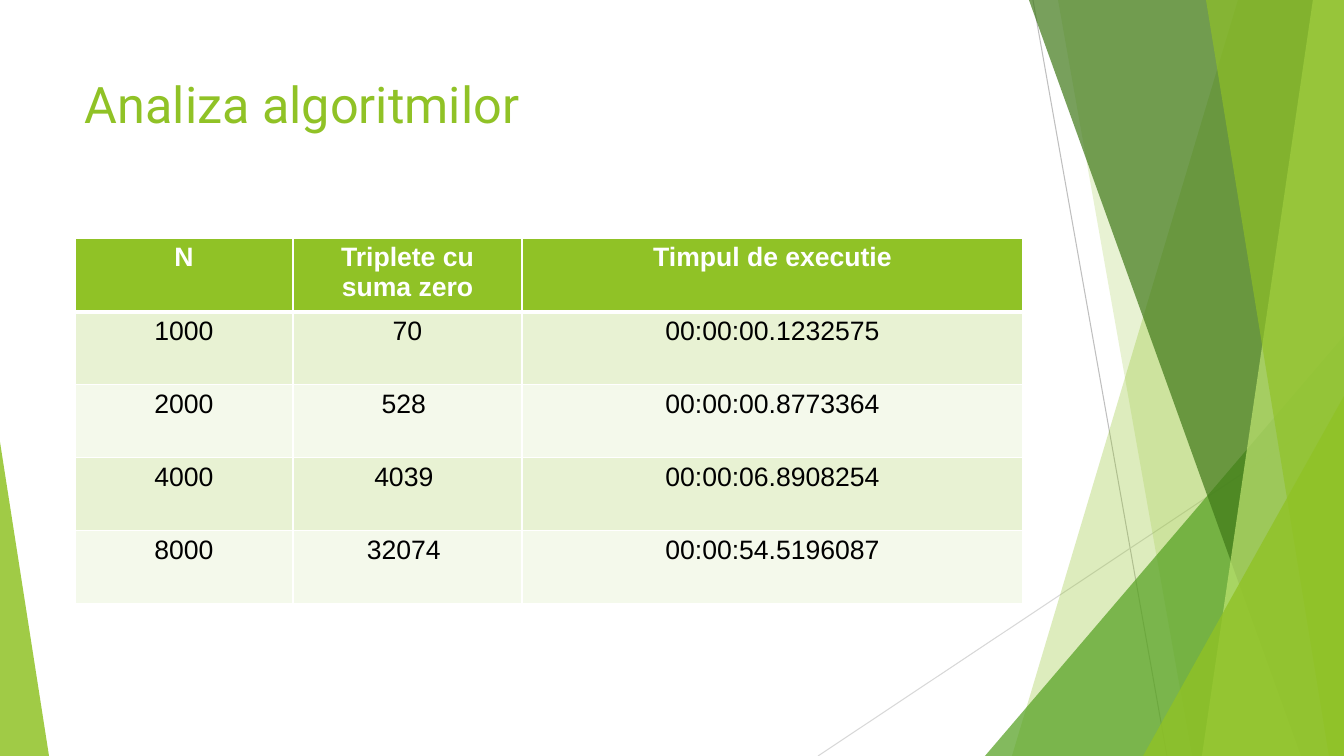
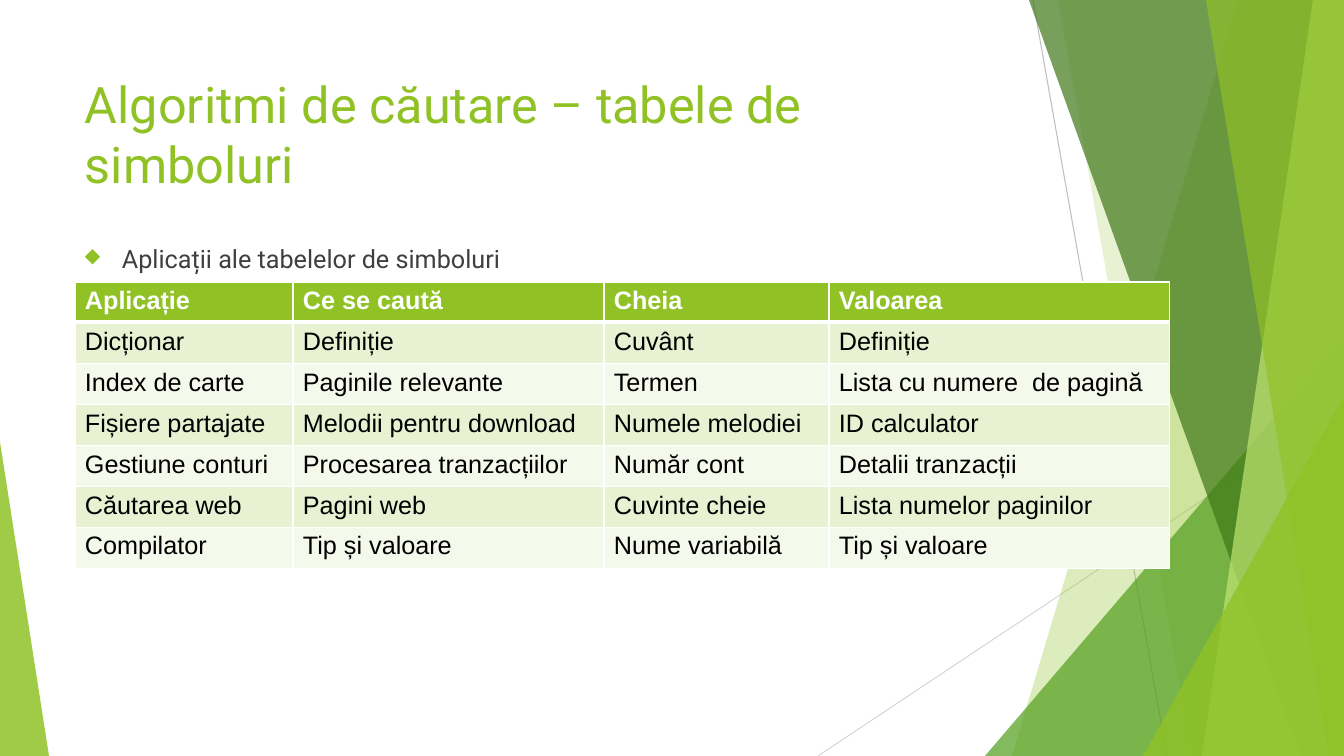
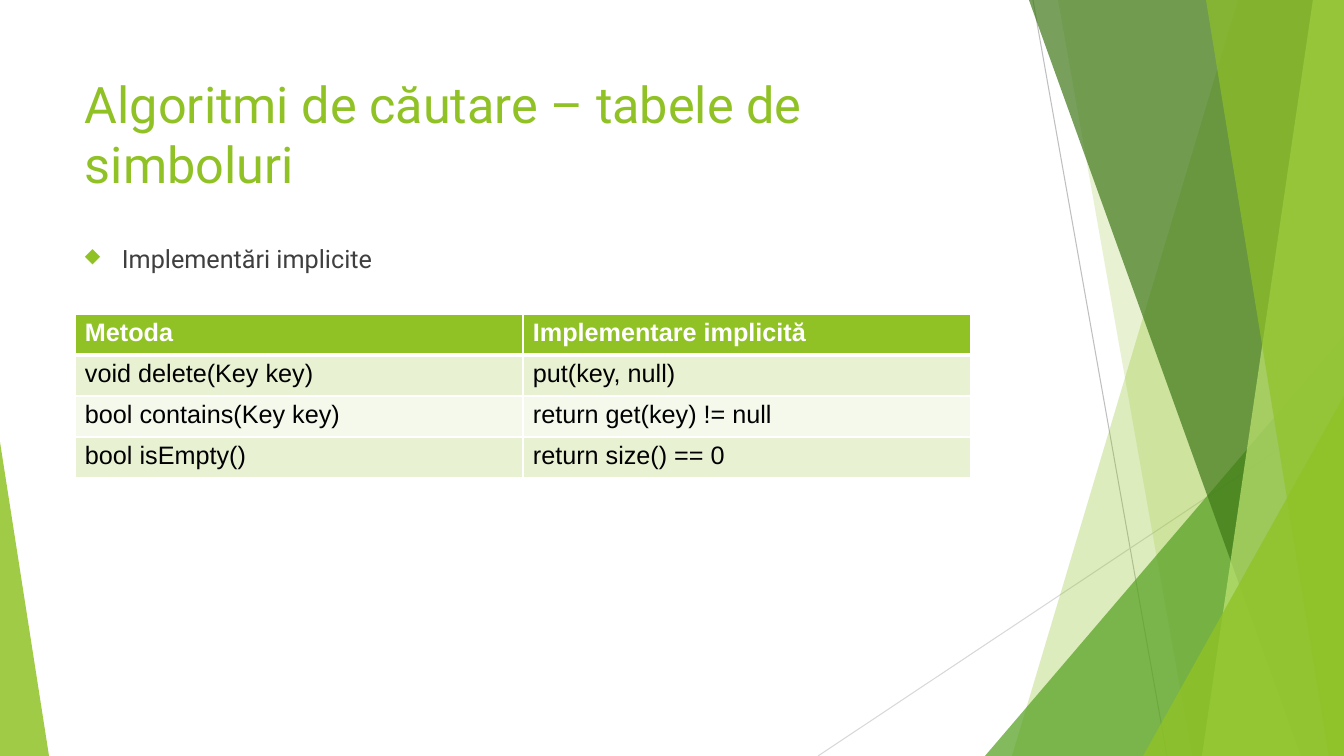
"""Three slides on algorithm analysis and symbol tables, in a green faceted theme."""
from pptx import Presentation
from pptx.dml.color import RGBColor
from pptx.enum.shapes import MSO_CONNECTOR, MSO_SHAPE
from pptx.enum.text import PP_ALIGN
from pptx.oxml.ns import qn
from pptx.util import Emu, Pt
from lxml.etree import SubElement

LINE = MSO_CONNECTOR.STRAIGHT
WEDGE = MSO_SHAPE.ISOSCELES_TRIANGLE
LEFT, MID = PP_ALIGN.LEFT, PP_ALIGN.CENTER

WIDE, HIGH = 1344, 756
SCALE = 12192000 / WIDE
EDGE = 75
BODY = 948

COLORS = {
    "lime": "90C226", "leaf": "54A021", "moss": "3F7818", "pale": "BFE471",
    "gray": "BFBFBF", "mist": "D8D8D8", "text": "3F3F3F", "black": "000000",
    "white": "FFFFFF", "odd": "E8F2D3", "even": "F4F9EB",
}

RAYS = [((1033, 0), (1167, HIGH), "gray"), ((WIDE, 406), (818, HIGH), "mist")]
# kind, left edge, second value, colour, opacity
FACETS = [
    ("band", 1238, 1012, "lime", 30),
    ("band", 1058, 1192, "lime", 20),
    ("wedge", (985, 336, 359, 420), 1, "leaf", 72),
    ("band", 1029, 1301, "moss", 70),
    ("band", 1313, 1202, "pale", 70),
    ("band", 1206, 1329, "lime", 65),
    ("wedge", (1143, 396, 201, 360), 1, "lime", 80),
    ("wedge", (0, 442, 49, 314), 0, "lime", 85),
]

SEARCH = "Algoritmi de căutare – tabele de simboluri"
SLIDES = [
    {
        "title": "Analiza algoritmilor", "point": None,
        "top": 238, "cols": [218, 229, 501], "head": 73, "row": 73,
        "size": 19, "pad": 12, "align": MID,
        "cells": [
            ("N", "Triplete cu suma zero", "Timpul de executie"),
            ("1000", "70", "00:00:00.1232575"),
            ("2000", "528 ", "00:00:00.8773364"),
            ("4000", "4039 ", "00:00:06.8908254"),
            ("8000", "32074 ", "00:00:54.5196087"),
        ],
    },
    {
        "title": SEARCH, "point": "Aplicații ale tabelelor de simboluri",
        "top": 282, "cols": [218, 311, 225, 341], "head": 38, "row": 41,
        "size": 18, "pad": 10, "align": LEFT,
        "cells": [
            ("Aplicație", "Ce se caută", "Cheia", "Valoarea"),
            ("Dicționar", "Definiție", "Cuvânt", "Definiție"),
            ("Index de carte", "Paginile relevante", "Termen", "Lista cu numere  de pagină"),
            ("Fișiere partajate", "Melodii pentru download", "Numele melodiei", "ID calculator"),
            ("Gestiune conturi", "Procesarea tranzacțiilor", "Număr cont", "Detalii tranzacții"),
            ("Căutarea web", "Pagini web", "Cuvinte cheie", "Lista numelor paginilor"),
            ("Compilator", "Tip și valoare", "Nume variabilă", "Tip și valoare"),
        ],
    },
    {
        "title": SEARCH, "point": "Implementări implicite",
        "top": 314, "cols": [448, 448], "head": 41, "row": 41,
        "size": 18, "pad": 10, "align": LEFT,
        "cells": [
            ("Metoda", "Implementare implicită"),
            ("void delete(Key key)", "put(key, null)"),
            ("bool contains(Key key)", "return get(key) != null"),
            ("bool isEmpty()", "return size() == 0"),
        ],
    },
]


def px(size):
    return Emu(round(size * SCALE))


def rgb(name):
    return RGBColor.from_string(COLORS[name])


def add_run(para, text, size, face, color, bold=False):
    run = para.add_run()
    run.text = text
    run.font.size, run.font.name, run.font.bold = Pt(size), face, bold
    run.font.color.rgb = rgb(color)


def add_box(slide, top, high):
    frame = slide.shapes.add_textbox(px(EDGE), px(top), px(BODY), px(high)).text_frame
    frame.word_wrap = True
    return frame.paragraphs[0]


def add_point(slide, text):
    para = add_box(slide, 238, 427)
    props = para._p.get_or_add_pPr()
    props.set("marL", str(px(37)))
    props.set("indent", str(px(-37)))
    tint = SubElement(props, qn("a:buClr"))
    SubElement(tint, qn("a:srgbClr"), val=COLORS["lime"])
    SubElement(props, qn("a:buSzPct"), val="80000")
    SubElement(props, qn("a:buChar"), char="◆")
    add_run(para, text, 18, "Roboto", "text")


def add_decor(slide):
    shapes = slide.shapes
    for start, end, color in RAYS:
        ray = shapes.add_connector(LINE, *map(px, start + end))
        ray.line.color.rgb, ray.line.width = rgb(color), Pt(0.75)
        SubElement(ray._element.spPr, qn("a:effectLst"))
    for kind, place, end, color, alpha in FACETS:
        if kind == "band":
            path = shapes.build_freeform(place, 0, SCALE)
            path.add_line_segments([(WIDE, 0), (WIDE, HIGH), (end, HIGH)])
            facet = path.convert_to_shape()
        else:
            facet = shapes.add_shape(WEDGE, *map(px, place))
            facet.adjustments[0] = end
        facet.shadow.inherit = False
        facet.fill.solid()
        facet.fill.fore_color.rgb = rgb(color)
        tint = next(facet._element.spPr.iter(qn("a:srgbClr")))
        SubElement(tint, qn("a:alpha"), val=str(alpha * 1000))
        facet.line.fill.background()


def add_edges(cell, thick):
    props = cell._tc.get_or_add_tcPr()
    for side in "LRTB":
        width = Pt(3 if side == thick else 1)
        edge = SubElement(props, qn("a:ln" + side), w=str(width))
        fill = SubElement(edge, qn("a:solidFill"))
        SubElement(fill, qn("a:srgbClr"), val=COLORS["white"])


def add_grid(slide, data):
    cells, cols = data["cells"], data["cols"]
    highs = [data["head"]] + [data["row"]] * (len(cells) - 1)
    place = EDGE, data["top"], sum(cols), sum(highs)
    grid = slide.shapes.add_table(len(cells), len(cols), *map(px, place)).table
    grid.first_row = grid.horz_banding = False
    for col, wide in zip(grid.columns, cols):
        col.width = px(wide)
    for r, (row, high) in enumerate(zip(cells, highs)):
        grid.rows[r].height = px(high)
        head = r == 0
        for c, text in enumerate(row):
            cell = grid.cell(r, c)
            cell.margin_left = cell.margin_right = px(data["pad"])
            cell.margin_top = cell.margin_bottom = px(5)
            add_edges(cell, {0: "B", 1: "T"}.get(r))
            cell.fill.solid()
            cell.fill.fore_color.rgb = rgb("lime" if head else "odd" if r % 2 else "even")
            para = cell.text_frame.paragraphs[0]
            para.alignment = data["align"]
            add_run(para, text, data["size"], "Arial", "white" if head else "black", head)


def main():
    deck = Presentation()
    deck.slide_width, deck.slide_height = px(WIDE), px(HIGH)
    for data in SLIDES:
        slide = deck.slides.add_slide(deck.slide_layouts[6])
        add_decor(slide)
        add_run(add_box(slide, 68, 145), data["title"], 36, "Roboto", "lime")
        if data["point"]:
            add_point(slide, data["point"])
        add_grid(slide, data)
    deck.save("out.pptx")


if __name__ == "__main__":
    main()
